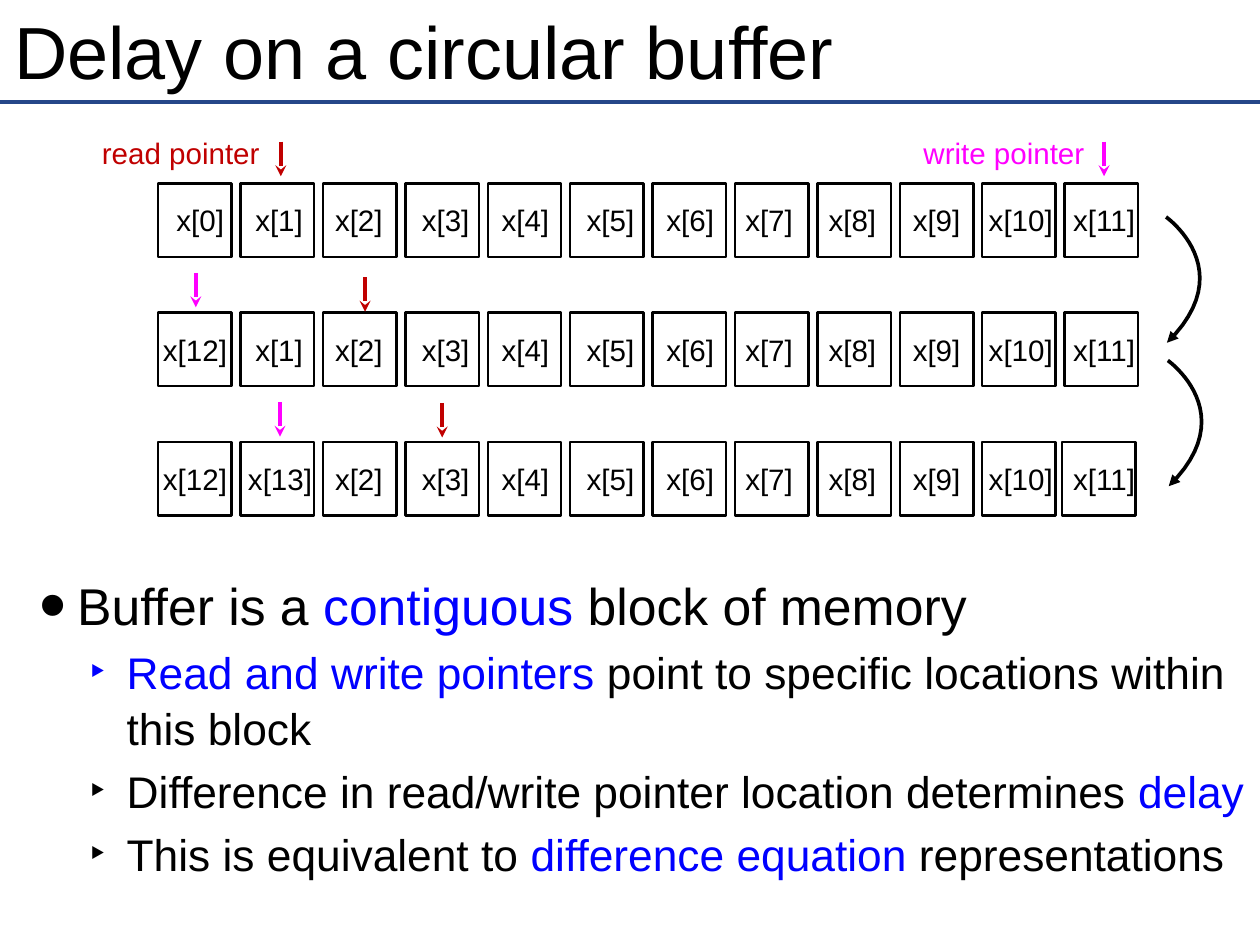
from lxml.etree import SubElement
from pptx import Presentation
from pptx.dml.color import RGBColor
from pptx.enum.shapes import MSO_CONNECTOR as Line, MSO_SHAPE as Shape
from pptx.enum.text import MSO_ANCHOR as Anchor, MSO_AUTO_SIZE as AutoSize, PP_ALIGN as Align
from pptx.oxml.ns import qn
from pptx.util import Inches, Pt

BLACK = RGBColor(0x00, 0x00, 0x00)
BLUE = RGBColor(0x00, 0x00, 0xFF)
NAVY = RGBColor(0x25, 0x47, 0x89)
MAGENTA = RGBColor(0xFF, 0x00, 0xFF)
RED = RGBColor(0xC0, 0x00, 0x00)
FONT = "Arial"

TITLE = "Delay on a circular buffer"
POINTS = [
    (0, [("Buffer is a ", BLACK), ("contiguous", BLUE), (" block of memory", BLACK)]),
    (1, [("Read and write pointers", BLUE),
         (" point to specific locations within this block", BLACK)]),
    (1, [("Difference in read/write pointer location determines ", BLACK), ("delay", BLUE)]),
    (1, [("This is equivalent to ", BLACK), ("difference equation", BLUE),
         (" representations", BLACK)]),
]
LEVELS = [(42, 0.69, "•", 150), (36, 1.25, "‣", 100)]
HANGING = 0.42

COLUMNS, ROWS = 12, 3
FIRST_CENTRE, COLUMN_STEP = 2.2, 0.93
FIRST_ROW, ROW_STEP = 2.07, 1.46
CELL = 0.83
CELL_NUDGES = {(2, 11): -0.03}
SAMPLE_NUDGES = [0.06, 0.02, -0.01, 0.04, 0.01, 0.04, 0.01,
                 -0.03, -0.02, 0, 0.02, 0.03, 0, 0.03]
POINTER_LENGTH = 0.39
POINTERS = [
    (MAGENTA, 0, 11, 0.03, 0.47), (MAGENTA, 1, 0, 0.01, 0.45), (MAGENTA, 2, 1, 0.03, 0.45),
    (RED, 0, 1, 0.04, 0.47), (RED, 1, 2, 0.06, 0.4), (RED, 2, 3, 0, 0.44),
]
CAPTIONS = [("write pointer", MAGENTA, 11.33, 1.72, 1.94), ("read pointer", RED, 2.04, 1.72, 1.8)]
STEP_ARROWS = [(13.16, 2.45), (13.18, 4.07)]
STEP_CURVE = [(0, 0), (0, 0), (0.85, 0.6), (0.01, 1.42)]
CURVE_PARTS = 24

deck = Presentation()
deck.slide_width, deck.slide_height = Inches(14.22), Inches(10.67)
slide = deck.slides.add_slide(deck.slide_layouts[6])
shapes = slide.shapes


def centre_x(column):
    return FIRST_CENTRE + column * COLUMN_STEP


def row_top(row):
    return FIRST_ROW + row * ROW_STEP


def add_box(left, top, width, height, inset, anchor, wrap):
    frame = shapes.add_textbox(*map(Inches, (left, top, width, height))).text_frame
    frame.margin_left = frame.margin_right = Inches(inset)
    frame.margin_top = frame.margin_bottom = Inches(inset)
    frame.vertical_anchor, frame.word_wrap = anchor, wrap
    frame.auto_size = AutoSize.NONE
    return frame


def set_font(paragraph, size, colour=BLACK):
    paragraph.font.name, paragraph.font.size = FONT, Pt(size)
    paragraph.font.color.rgb = colour


def add_label(text, x, y, width, colour=BLACK):
    height = 0.49
    frame = add_box(x - width / 2, y - height / 2, width, height, 0, Anchor.MIDDLE, False)
    label = frame.paragraphs[0]
    label.text, label.alignment = text, Align.CENTER
    set_font(label, 24, colour)


def style_line(line, colour, width, arrowhead=None):
    line.color.rgb, line.width = colour, Pt(width)
    if arrowhead:
        SubElement(line._get_or_add_ln(), qn("a:tailEnd"), type=arrowhead)


def add_line(start, end, colour, arrowhead=None):
    connector = shapes.add_connector(Line.STRAIGHT, *map(Inches, (*start, *end)))
    style_line(connector.line, colour, 3, arrowhead)
    SubElement(connector._element.spPr, qn("a:effectLst"))


def add_cell(row, column):
    left = centre_x(column) - CELL / 2 + CELL_NUDGES.get((row, column), 0)
    cell = shapes.add_shape(Shape.RECTANGLE, *map(Inches, (left, row_top(row), CELL, CELL)))
    cell.shadow.inherit = False
    cell.fill.background()
    style_line(cell.line, BLACK, 2)
    sample = column + COLUMNS if column < row else column
    add_label(f"x[{sample}]", centre_x(column) + SAMPLE_NUDGES[sample],
              row_top(row) + CELL / 2, 0.66 if sample < 10 else 0.85)


def curve_point(t):
    weights = ((1 - t) ** 3, 3 * t * (1 - t) ** 2, 3 * t * t * (1 - t), t ** 3)
    return [sum(w * p[axis] for w, p in zip(weights, STEP_CURVE)) for axis in (0, 1)]


def add_step_arrow(left, top):
    outline = [(Inches(left + x), Inches(top + y))
               for x, y in (curve_point(i / CURVE_PARTS) for i in range(CURVE_PARTS + 1))]
    builder = shapes.build_freeform(*outline[0])
    builder.add_line_segments(outline[1:], close=False)
    arrow = builder.convert_to_shape()
    arrow.shadow.inherit = False
    arrow.fill.background()
    style_line(arrow.line, BLACK, 3, "triangle")


def add_point(paragraph, level, pieces, space_before):
    size, indent, bullet, bullet_size = LEVELS[level]
    paragraph.level, paragraph.line_spacing = level, 1.05
    paragraph.space_before = Pt(space_before)
    properties = paragraph._p.get_or_add_pPr()
    properties.set("marL", str(Inches(indent)))
    properties.set("indent", str(-Inches(HANGING)))
    SubElement(properties, qn("a:buSzPct"), val=str(bullet_size * 1000))
    SubElement(properties, qn("a:buFont"), typeface=FONT)
    SubElement(properties, qn("a:buChar"), char=bullet)
    set_font(paragraph, size)
    for text, colour in pieces:
        run = paragraph.add_run()
        run.text = text
        run.font.name, run.font.size = FONT, Pt(size)
        run.font.color.rgb = colour


def main():
    """Build the circular buffer slide."""
    add_line((0, 1.15), (14.22, 1.15), NAVY)
    title = add_box(0.1, 0.06, 14.01, 1.01, 0.06, Anchor.MIDDLE, True).paragraphs[0]
    title.text = TITLE
    set_font(title, 60)

    body = add_box(0.12, 6.38, 14.01, 4.21, 0.06, Anchor.TOP, True)
    for index, (level, pieces) in enumerate(POINTS):
        paragraph = body.add_paragraph() if index else body.paragraphs[0]
        add_point(paragraph, level, pieces, 6 if index else 0)

    for row in range(ROWS):
        for column in range(COLUMNS):
            add_cell(row, column)
    for colour, row, column, nudge, rise in POINTERS:
        x, top = centre_x(column) + nudge, row_top(row) - rise
        add_line((x, top), (x, top + POINTER_LENGTH), colour, "stealth")
    for text, colour, x, y, width in CAPTIONS:
        add_label(text, x, y, width, colour)
    for left, top in STEP_ARROWS:
        add_step_arrow(left, top)
    deck.save("out.pptx")


if __name__ == "__main__":
    main()
